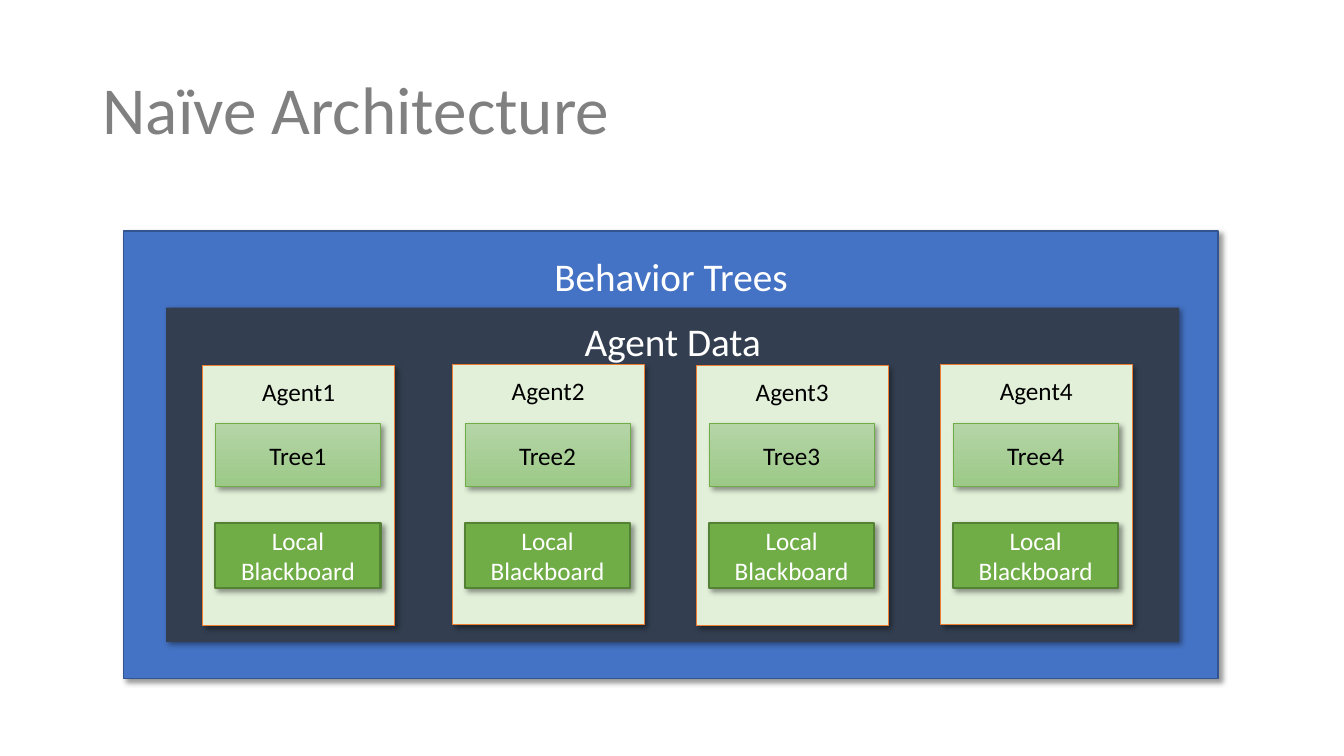
from lxml import etree
from pptx import Presentation
from pptx.dml.color import RGBColor
from pptx.enum import shapes, text
from pptx.oxml import ns
from pptx.util import Cm, Pt

GREY = RGBColor(0x80, 0x80, 0x80)
WHITE = RGBColor(0xFF, 0xFF, 0xFF)
BLACK = RGBColor(0x00, 0x00, 0x00)
BLUE = RGBColor(0x44, 0x72, 0xC4)
NAVY = RGBColor(0x32, 0x54, 0x91)
SLATE = RGBColor(0x33, 0x3F, 0x50)
PALE = RGBColor(0xE2, 0xF0, 0xD9)
ORANGE = RGBColor(0xED, 0x7D, 0x31)
GREEN = RGBColor(0x70, 0xAD, 0x47)
DARK = RGBColor(0x54, 0x82, 0x35)
LIGHT = RGBColor(0xB5, 0xD5, 0xA7)
MID = RGBColor(0x9C, 0xC9, 0x87)
FONT = "Calibri"


def style(para, size, color):
    for run in para.runs:
        run.font.name = FONT
        run.font.size = Pt(size)
        run.font.color.rgb = color


def shade(shape):
    """Soft black shadow falling to the lower right."""
    shape.shadow.inherit = False
    effects = shape._element.spPr.find(ns.qn("a:effectLst"))
    outer = etree.SubElement(effects, ns.qn("a:outerShdw"), blurRad=str(int(Pt(4))),
                             dist=str(int(Pt(3))), dir="2700000", algn="tl",
                             rotWithShape="0")
    black = etree.SubElement(outer, ns.qn("a:srgbClr"), val="000000")
    etree.SubElement(black, ns.qn("a:alpha"), val="40000")


def add_box(slide, box, label, size, color, fill, line=None, width=0.5, top=None):
    """Add a labelled rectangle; top is the label's inset, None centres it.

    A fill of one colour is solid, a list of two is a downward gradient.
    """
    shape = slide.shapes.add_shape(shapes.MSO_SHAPE.RECTANGLE, *(Cm(n) for n in box))
    if isinstance(fill, list):
        shape.fill.gradient()
        shape.fill.gradient_angle = 270
        for stop, tone in zip(shape.fill.gradient_stops, fill):
            stop.color.rgb = tone
    else:
        shape.fill.solid()
        shape.fill.fore_color.rgb = fill
    if line is None:
        shape.line.fill.background()
    else:
        shape.line.color.rgb = line
        shape.line.width = Pt(width)
    shade(shape)
    frame = shape.text_frame
    frame.word_wrap = True
    frame.vertical_anchor = text.MSO_ANCHOR.MIDDLE
    if top is not None:
        frame.vertical_anchor = text.MSO_ANCHOR.TOP
        frame.margin_top = Cm(top)
    frame.text = label
    para = frame.paragraphs[0]
    para.alignment = text.PP_ALIGN.CENTER
    style(para, size, color)


def add_title(slide, box, label):
    title = slide.shapes.title
    title.left, title.top, title.width, title.height = (Cm(n) for n in box)
    frame = title.text_frame
    frame.text = label
    frame.vertical_anchor = text.MSO_ANCHOR.MIDDLE
    para = frame.paragraphs[0]
    para.alignment = text.PP_ALIGN.LEFT
    para.line_spacing = 0.9
    style(para, 48, GREY)


def add_agent(slide, box, num, lift):
    """Agent panel, raised by lift, with its tree and blackboard."""
    x, y, w, h = box
    add_box(slide, (x, y - lift, w, h), f"Agent{num}", 18, BLACK, PALE, ORANGE, top=0.27)
    inner = w - 0.67
    add_box(slide, (x + 0.32, y + 1.45, inner, 1.6), f"Tree{num}", 18, BLACK,
            [LIGHT, MID], GREEN)
    add_box(slide, (x + 0.32, y + 3.96, inner, 1.63), "Local Blackboard", 18, WHITE,
            GREEN, DARK, 1.5)


def add_stack(slide, box):
    """Behavior Trees frame around Agent Data and its four agents."""
    x, y, w, h = box
    add_box(slide, box, "Behavior Trees", 28, WHITE, BLUE, NAVY, 1, top=0.54)
    add_box(slide, (x + 1.07, y + 1.93, w - 2.05, h - 2.85), "Agent Data", 28, WHITE,
            SLATE, top=0.24)
    for i, left in enumerate((1.99, 8.28, 14.43, 20.58)):
        lift = 0.04 * (i % 2)
        add_agent(slide, (x + left, y + 3.4, 4.83, 6.55), i + 1, lift)


def main():
    deck = Presentation()
    deck.slide_width, deck.slide_height = Cm(33.87), Cm(19.05)
    slide = deck.slides.add_slide(deck.slide_layouts[5])
    add_title(slide, (2.33, 1.01, 29.21, 3.68), "Naïve Architecture")
    add_stack(slide, (3.12, 5.82, 27.58, 11.28))
    deck.save("out.pptx")


if __name__ == "__main__":
    main()
